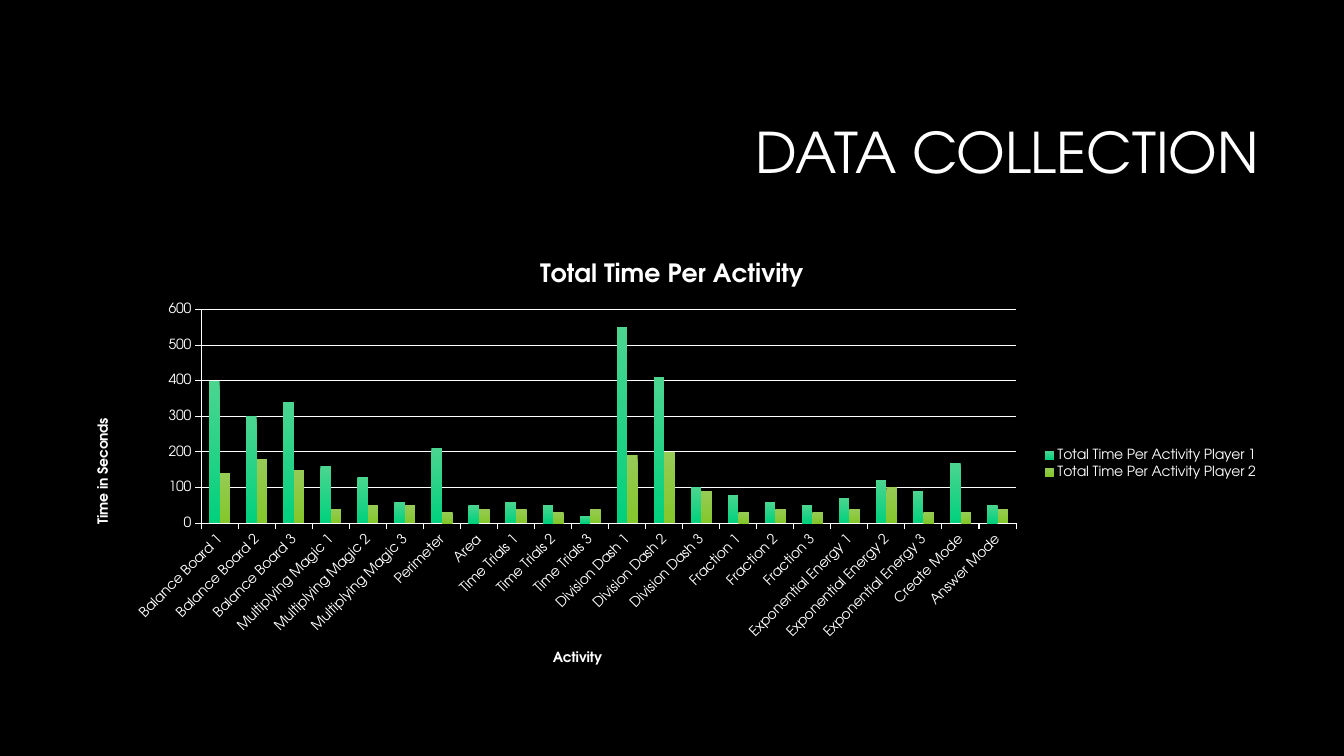
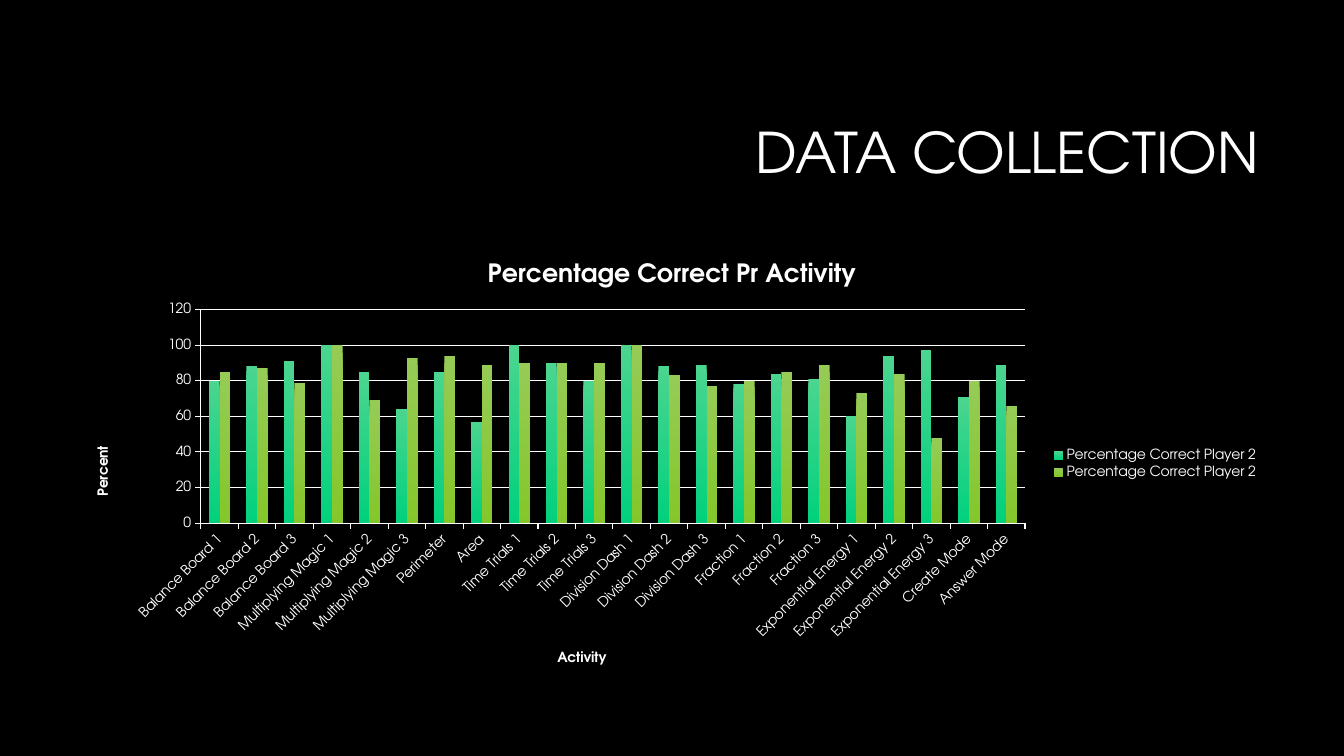
"""Build two slides that chart the data collected per activity."""
from pptx import Presentation
from pptx.chart.data import CategoryChartData
from pptx.dml.color import RGBColor
from pptx.enum.chart import XL_CHART_TYPE, XL_LEGEND_POSITION, XL_TICK_MARK
from pptx.enum.text import MSO_ANCHOR, PP_ALIGN
from pptx.util import Inches, Pt

BLACK = RGBColor(0x00, 0x00, 0x00)
WHITE = RGBColor(0xFF, 0xFF, 0xFF)
GREEN = RGBColor(0x01, 0xD1, 0x7D)
MINT = RGBColor(0x4B, 0xD5, 0x8F)
LIME = RGBColor(0x84, 0xC7, 0x2A)
PEAR = RGBColor(0x96, 0xCB, 0x56)
FILLS = [(MINT, GREEN), (PEAR, LIME)]
FACE = "TeX Gyre Adventor"


def trio(name):
    """Number three rounds of one activity."""
    return [f"{name} {num}" for num in (1, 2, 3)]


NAMES = [
    *trio("Balance Board"), *trio("Multiplying Magic"), "Perimeter", "Area",
    *trio("Time Trials"), *trio("Division Dash"), *trio("Fraction"),
    *trio("Exponential Energy"), "Create Mode", "Answer Mode",
]
TIMES = [
    ("Total Time Per Activity Player 1",
     [400, 300, 340, 160, 130, 60, 210, 50, 60, 50, 20,
      550, 410, 100, 80, 60, 50, 70, 120, 90, 170, 50]),
    ("Total Time Per Activity Player 2",
     [140, 180, 150, 40, 50, 50, 30, 40, 40, 30, 40,
      190, 200, 90, 30, 40, 30, 40, 100, 30, 30, 40]),
]
SCORES = [
    ("Percentage Correct Player 2",
     [80, 88, 91, 100, 85, 64, 85, 57, 100, 90, 80,
      100, 88, 89, 78, 84, 81, 60, 94, 97, 71, 89]),
    ("Percentage Correct Player 2",
     [85, 87, 79, 100, 69, 93, 94, 89, 90, 90, 90,
      100, 83, 77, 80, 85, 89, 73, 84, 48, 80, 66]),
]


class Deck:
    """Hold the style and the current slide."""

    def __init__(self):
        """Open an empty wide deck."""
        self.file = Presentation()
        self.file.slide_width = Inches(13.33)
        self.file.slide_height = Inches(7.5)
        self.slide = None

    def box(self, left, top, width, height):
        """Turn shares of the slide into lengths."""
        wide, high = self.file.slide_width, self.file.slide_height
        return [int(part * size) for part, size in
                zip((left, top, width, height), (wide, high, wide, high))]

    def style(self, font, size, bold=False):
        """Set the common face and colour on a font."""
        font.name, font.size, font.bold = FACE, Pt(size), bold
        font.color.rgb = WHITE

    def page(self):
        """Add a black slide."""
        self.slide = self.file.slides.add_slide(self.file.slide_layouts[6])
        fill = self.slide.background.fill
        fill.solid()
        fill.fore_color.rgb = BLACK

    def title(self, text):
        """Write the slide title, set to the right."""
        frame = self.slide.shapes.add_textbox(
            *self.box(0.238, 0.112, 0.706, 0.188)).text_frame
        frame.word_wrap = True
        frame.vertical_anchor = MSO_ANCHOR.MIDDLE
        line = frame.paragraphs[0]
        line.text = text
        line.alignment = PP_ALIGN.RIGHT
        line.line_spacing = 0.9
        self.style(line.font, 40)

    def label(self, owner, text, size):
        """Give a chart or an axis a bold title."""
        owner.has_title = True
        title = owner.chart_title if hasattr(owner, "plots") else owner.axis_title
        line = title.text_frame.paragraphs[0]
        line.text = text
        self.style(line.font, size, True)

    def axis(self, axis, text, grid):
        """Style one axis, its title and its grid."""
        self.label(axis, text, 10)
        axis.major_tick_mark = XL_TICK_MARK.OUTSIDE
        axis.minor_tick_mark = XL_TICK_MARK.NONE
        axis.has_major_gridlines = grid
        lines = [axis.format.line]
        if grid:
            lines.append(axis.major_gridlines.format.line)
        for line in lines:
            line.color.rgb = WHITE
            line.width = Pt(0.75)

    def chart(self, head, unit, rows):
        """Draw clustered columns for both players."""
        data = CategoryChartData()
        data.categories = NAMES
        for name, vals in rows:
            data.add_series(name, vals)
        chart = self.slide.shapes.add_chart(
            XL_CHART_TYPE.COLUMN_CLUSTERED,
            *self.box(0.056, 0.32, 0.888, 0.587), data).chart
        self.style(chart.font, 10)
        self.label(chart, head, 18)
        self.axis(chart.category_axis, "Activity", False)
        self.axis(chart.value_axis, unit, True)
        chart.has_legend = True
        chart.legend.position = XL_LEGEND_POSITION.RIGHT
        chart.legend.include_in_layout = False
        plot = chart.plots[0]
        plot.gap_width = 150
        plot.vary_by_categories = False
        for row, tones in zip(plot.series, FILLS):
            fill = row.format.fill
            fill.gradient()
            fill.gradient_angle = 270
            for stop, tone in zip(fill.gradient_stops, tones):
                stop.color.rgb = tone


def main():
    """Build and save the deck."""
    deck = Deck()
    for head, unit, rows in [
        ("Total Time Per Activity", "Time in Seconds", TIMES),
        ("Percentage Correct Pr Activity", "Percent", SCORES),
    ]:
        deck.page()
        deck.title("DATA COLLECTION")
        deck.chart(head, unit, rows)
    deck.file.save("out.pptx")


if __name__ == "__main__":
    main()
